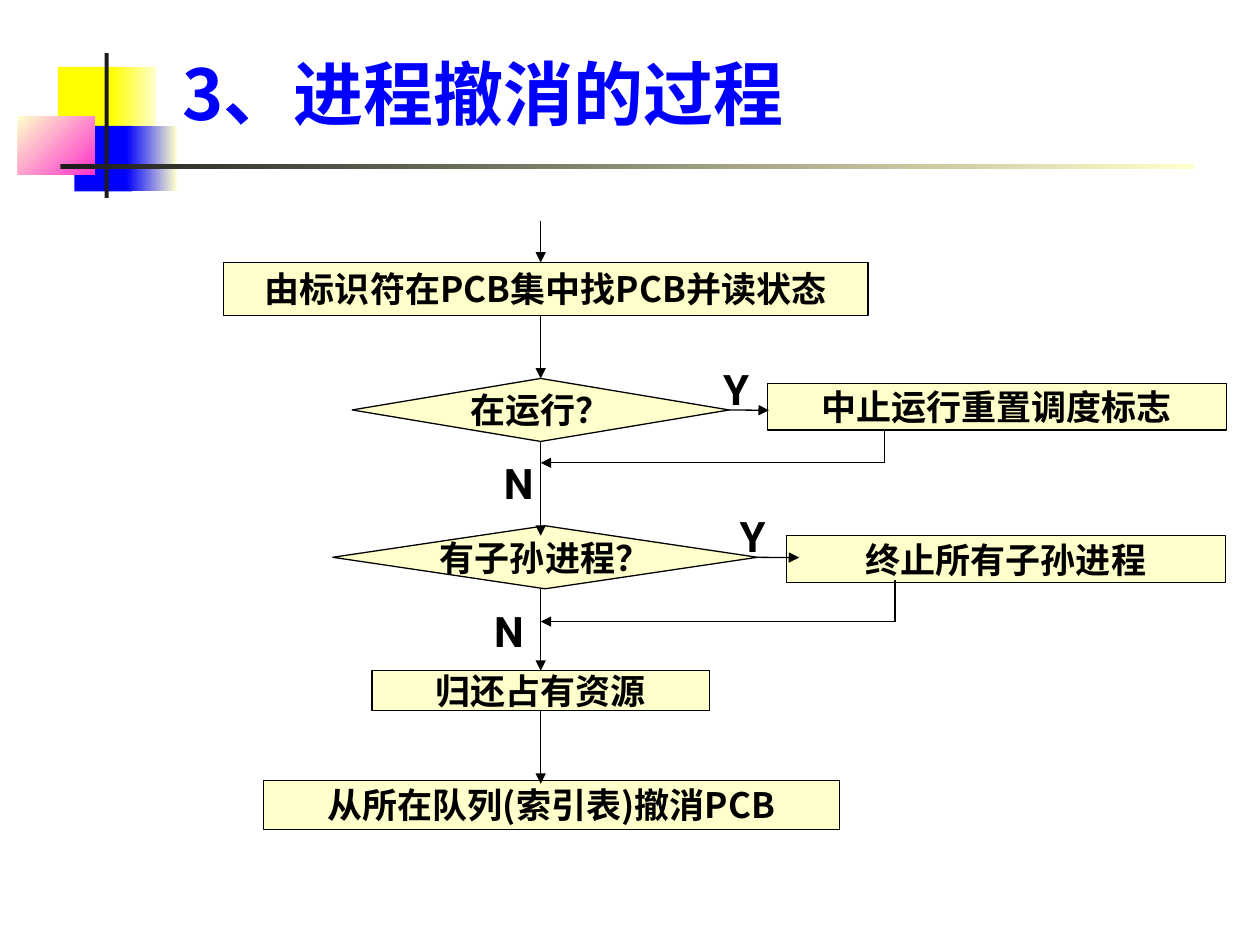
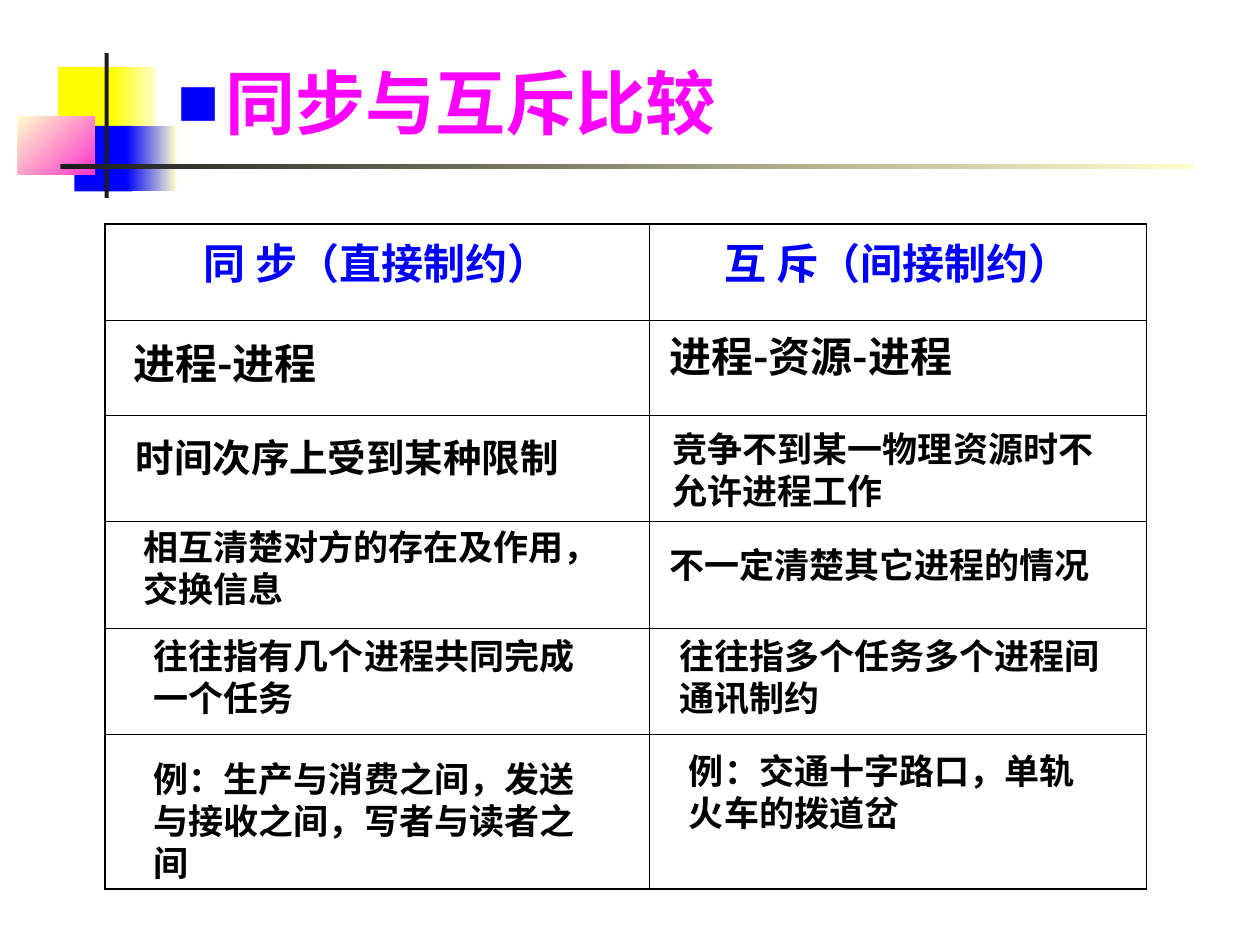
from lxml.etree import SubElement as Sub
from pptx import Presentation
from pptx.dml.color import RGBColor as Rgb
from pptx.enum.shapes import MSO_CONNECTOR as Link, MSO_SHAPE as Kind
from pptx.enum.text import MSO_ANCHOR as Anchor, MSO_AUTO_SIZE as Fit, PP_ALIGN as Align
from pptx.oxml.ns import qn
from pptx.util import Cm, Pt

HUES = {
    "black": "000000", "ink": "1C1C1C", "cream": "FFFFCC", "yellow": "FFFF00",
    "blue": "0000FF", "pink": "FF33CC", "magenta": "FF00FF",
}
CJK, LATIN = "Noto Sans CJK SC", "Roboto"
INSET = {"margin_left": Cm(0.25), "margin_right": Cm(0.25),
         "margin_top": Cm(0.13), "margin_bottom": Cm(0.13)}


def hue(name):
    return Rgb.from_string(HUES[name])


def put(item, vals):
    for key, val in vals.items():
        setattr(item, key, val)


def place(item, box):
    put(item, dict(zip(("left", "top", "width", "height"), map(Cm, box))))


def write(frame, text, size, color="black", font=CJK, align=Align.LEFT, **form):
    """Fill a text frame with one bold paragraph."""
    put(frame, {"word_wrap": True, "auto_size": Fit.NONE,
                "vertical_anchor": Anchor.TOP, **INSET, **form})
    para = frame.paragraphs[0]
    para.alignment = align
    style(para, text, size, color, font)
    return para


def style(para, text, size, color, font):
    run = para.add_run()
    run.text = text
    put(run.font, {"size": Pt(size), "bold": True, "name": font})
    run.font.color.rgb = hue(color)
    Sub(run.font._element, qn("a:ea"), typeface=CJK)


def shape(slide, kind, box, fill, end=None, angle=0):
    """Add a flat shape; a second colour makes the fill a gradient."""
    item = slide.shapes.add_shape(kind, *map(Cm, box))
    item.shadow.inherit = False
    if end:
        item.fill.gradient()
        item.fill.gradient_angle = angle
        for stop, name in zip(item.fill.gradient_stops, (fill, end)):
            stop.color.rgb = hue(name)
    else:
        item.fill.solid()
        item.fill.fore_color.rgb = hue(fill)
    item.line.fill.background()
    return item


def label(slide, box, text, size, **form):
    item = slide.shapes.add_textbox(*map(Cm, box))
    write(item.text_frame, text, size, **form)


def line(slide, start, end, head=True):
    item = slide.shapes.add_connector(Link.STRAIGHT, *map(Cm, start + end))
    item.line.width = Pt(0.75)
    item.line.color.rgb = hue("black")
    if head:
        Sub(item.line._get_or_add_ln(), qn("a:tailEnd"), type="triangle")
    Sub(item._element.spPr, qn("a:effectLst"))
    return item


def decor(slide, layout):
    """Draw the shared corner blocks and rules, then move them to the layout."""
    parts = [
        ((1.17, 1.35, 1.22, 1.32), "yellow"),
        ((2.24, 1.35, 0.91, 1.32), "yellow", "cream"),
        ((1.5, 2.54, 1.17, 1.32), "blue"),
        ((2.54, 2.54, 1.02, 1.32), "blue", "cream"),
        ((0.36, 2.34, 1.55, 1.17), "cream", "pink", 315),
        ((2.11, 1.07, 0.08, 2.92), "ink"),
        ((1.22, 3.3, 22.86, 0.1), "ink", "cream"),
    ]
    for part in parts:
        item = shape(slide, Kind.RECTANGLE, *part)
        layout.shapes.element.append(item._element)


def title(slide, box, text, color, font=CJK, anchor=Anchor.BOTTOM):
    head = slide.shapes.title
    place(head, box)
    return write(head.text_frame, text, 40, color, font, vertical_anchor=anchor)


def bullet(para, indent):
    para.line_spacing = 1.1
    props = para._p.get_or_add_pPr()
    props.set("marL", str(Cm(indent)))
    props.set("indent", str(-Cm(indent)))
    Sub(Sub(props, qn("a:buClr")), qn("a:srgbClr"), val=HUES["blue"])
    Sub(props, qn("a:buSzPct"), val="60000")
    Sub(props, qn("a:buFont"), typeface=CJK)
    Sub(props, qn("a:buChar"), char="■")


def flow(slide, axis, top):
    """Draw the flowchart around a vertical axis, down from the given top."""
    def at(x, y):
        return axis + x, top + y

    step, test = Kind.FLOWCHART_PROCESS, Kind.FLOWCHART_DECISION
    nodes = {
        "run": (test, (-3.8, 3.18), (7.6, 1.27), "在运行？"),
        "find": (step, (-6.4, 0.84), (13, 1.07), "由标识符在PCB集中找PCB并读状态"),
        "free": (step, (-3.4, 9.07), (6.8, 0.81), "归还占有资源"),
        "drop": (step, (-5.59, 11.28), (11.61, 0.99), "从所在队列(索引表)撤消PCB"),
        "halt": (step, (4.57, 3.28), (9.25, 0.94), "中止运行重置调度标志"),
        "kill": (step, (4.95, 6.35), (8.86, 0.94), "终止所有子孙进程"),
        "kids": (test, (-4.19, 6.15), (8.56, 1.27), "有子孙进程？"),
    }
    made = {}
    for name, (kind, spot, size, text) in nodes.items():
        item = made[name] = shape(slide, kind, at(*spot) + size, "cream")
        item.line.width = Pt(0.75)
        item.line.color.rgb = hue("black")
        write(item.text_frame, text, 20, align=Align.CENTER,
              word_wrap=False, vertical_anchor=Anchor.MIDDLE)

    # Branch labels
    for text, x, y in (("N", -1.19, 7.62), ("Y", 3.76, 5.72),
                       ("N", -0.99, 4.65), ("Y", 3.43, 2.74)):
        label(slide, at(x, y) + (1.9, 1.27), text, 24, font=LATIN)

    # Arrows: start, end, joined start, joined end
    arrows = [
        ((0, 0), (0, 0.84), None, None),
        ((0, 1.91), (0, 3.18), None, ("run", 0)),
        ((0, 4.45), (0, 6.35), ("run", 2), None),
        ((0, 7.42), (0, 9.07), None, ("free", 0)),
        ((0, 9.88), (0, 11.35), ("free", 2), None),
        ((3.8, 3.82), (4.6, 3.82), ("run", 3), None),
        ((4.37, 6.79), (5.21, 6.79), ("kids", 3), None),
    ]
    for start, end, tail, tip in arrows:
        item = line(slide, at(*start), at(*end))
        if tail:
            item.begin_connect(made[tail[0]], tail[1])
        if tip:
            item.end_connect(made[tip[0]], tip[1])

    # Return paths to the axis
    for x, high, low in ((6.93, 4.24, 4.88), (7.14, 7.24, 8.08)):
        line(slide, at(x, high), at(x, low), head=False)
        line(slide, at(x, low), at(0, low))


def border(cell, edges):
    props = cell._tc.get_or_add_tcPr()
    for side, outer in edges.items():
        edge = Sub(props, qn(f"a:ln{side}"), w=str(Pt(1.08 if outer else 0.45)))
        Sub(Sub(edge, qn("a:solidFill")), qn("a:srgbClr"), val=HUES["black"])


def grid(slide, left, top):
    """Draw the ruled table with its two headings."""
    cols, rows = (10.97, 10.03), (1.93, 1.93, 2.13, 2.16, 2.13, 3.12)
    box = left, top, sum(cols), sum(rows)
    table = slide.shapes.add_table(len(rows), len(cols), *map(Cm, box)).table
    put(table, {"first_row": False, "horz_banding": False})
    for col, width in zip(table.columns, cols):
        col.width = Cm(width)
    for r, high in enumerate(rows):
        table.rows[r].height = Cm(high)
        for c in range(len(cols)):
            cell = table.cell(r, c)
            border(cell, {"L": c == 0, "R": c == len(cols) - 1,
                          "T": r == 0, "B": r == len(rows) - 1})
            cell.fill.background()
            put(cell, INSET)
    for c, text in enumerate(("同 步（直接制约）", "互 斥（间接制约）")):
        para = table.cell(0, c).text_frame.paragraphs[0]
        para.alignment = Align.CENTER
        style(para, text, 24, "blue", CJK)


def notes(slide, left, top):
    """Set the comparison texts over the table rows."""
    texts = [
        (0.33, 2.16, 5.66, 1.27, 24, "进程-进程"),
        (11.13, 2.01, 9.07, 1.27, 24, "进程-资源-进程"),
        (0.38, 4.09, 9.02, 1.19, 22, "时间次序上受到某种限制"),
        (11.2, 3.96, 9.4, 1.96, 20, "竞争不到某一物理资源时不允许进程工作"),
        (0.53, 5.94, 9.86, 1.96, 20, "相互清楚对方的存在及作用，交换信息"),
        (11.13, 6.3, 10.46, 1.12, 20, "不一定清楚其它进程的情况"),
        (0.74, 8.15, 9.25, 1.96, 20, "往往指有几个进程共同完成一个任务"),
        (11.33, 8.15, 9.25, 1.96, 20, "往往指多个任务多个进程间通讯制约"),
        (0.74, 10.62, 9.45, 2.79, 20, "例：生产与消费之间，发送与接收之间，写者与读者之间"),
        (11.53, 10.46, 8.66, 1.96, 20, "例：交通十字路口，单轨火车的拨道岔"),
    ]
    for x, y, width, high, size, text in texts:
        label(slide, (left + x, top + y, width, high), text, size,
              word_wrap=size != 22)


def main():
    deck = Presentation()
    put(deck, {"slide_width": Cm(25.4), "slide_height": Cm(19.05)})
    layout = deck.slide_layouts[5]

    # Flowchart slide
    slide = deck.slides.add_slide(layout)
    decor(slide, layout)
    title(slide, (3.43, 0.91, 17.5, 1.93), "3、进程撤消的过程", "blue")
    flow(slide, 10.9, 4.45)

    # Comparison slide
    slide = deck.slides.add_slide(layout)
    para = title(slide, (3.33, 0.91, 21.39, 2.21), "同步与互斥比较",
                 "magenta", LATIN, Anchor.TOP)
    bullet(para, 0.97)
    grid(slide, 2.11, 4.52)
    notes(slide, 2.11, 4.52)
    deck.save("out.pptx")


if __name__ == "__main__":
    main()
